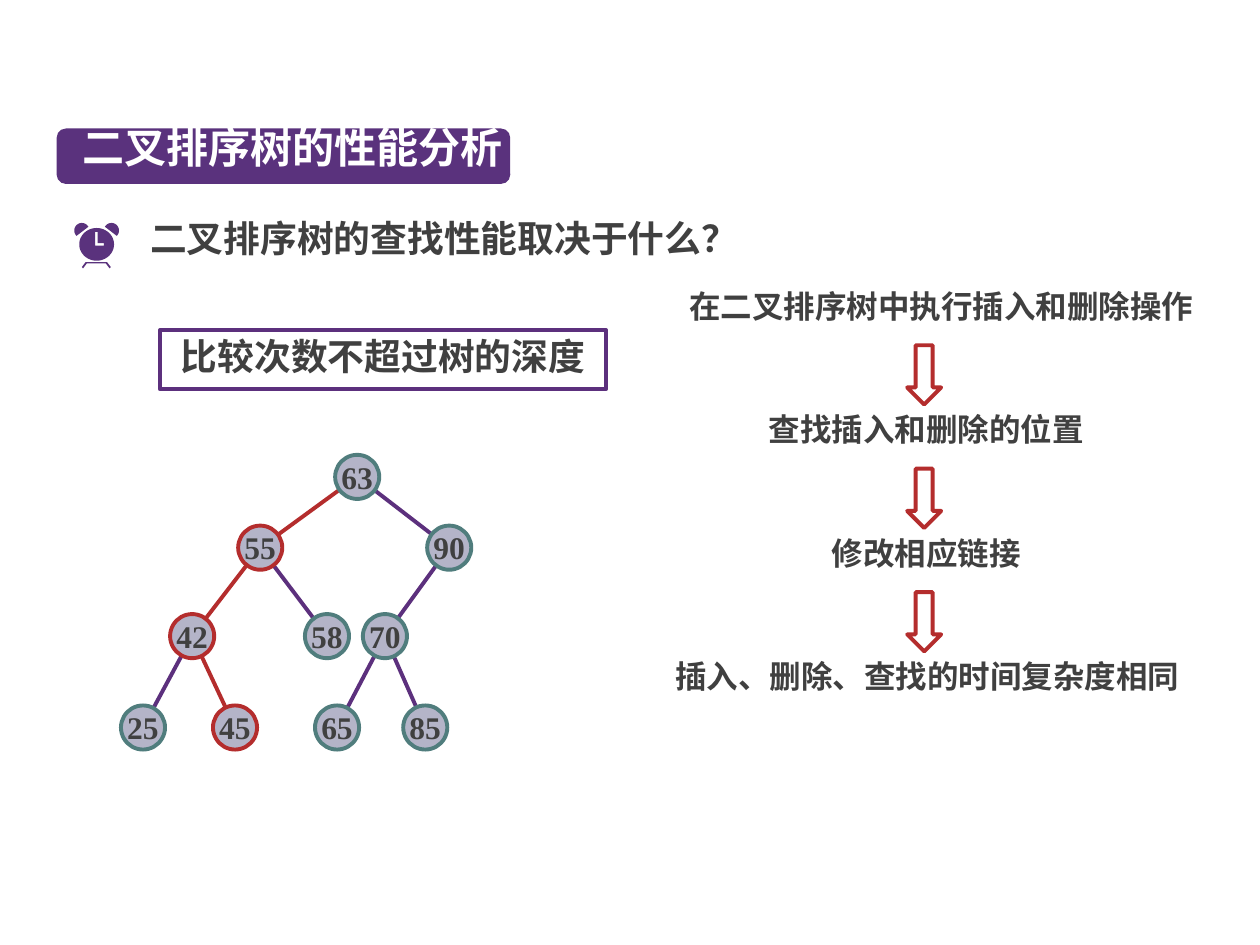
import math

import lxml.etree
import pptx
import pptx.dml.color
import pptx.enum.shapes
import pptx.enum.text
import pptx.oxml.ns
import pptx.util

COLUMNS, ROWS = 100, 75
PURPLE, EDGE, RED, TEAL = "5A327D", "5C307D", "B42D2D", "507D7D"
GREY, LILAC, WHITE = "404040", "B4B4C8", "FFFFFF"
SERIF, HAN = "Times New Roman", "Noto Sans CJK SC"
SHAPE = pptx.enum.shapes.MSO_SHAPE
TOP = pptx.enum.text.MSO_ANCHOR.TOP
MIDDLE = pptx.enum.text.MSO_ANCHOR.MIDDLE

deck = pptx.Presentation()
deck.slide_width = pptx.util.Inches(10)
deck.slide_height = pptx.util.Inches(7.5)


def place(*cells):
    """Turn alternating columns and rows into lengths on the slide."""
    units = (deck.slide_width / COLUMNS, deck.slide_height / ROWS)
    return [pptx.util.Emu(round(cell * units[i % 2])) for i, cell in enumerate(cells)]


def colour(code):
    """Return the colour for a hex string."""
    return pptx.dml.color.RGBColor.from_string(code)


def paint(shape, fill=None, line=None):
    """Give a shape a flat fill and outline, without shadow."""
    shape.shadow.inherit = False
    if fill:
        shape.fill.solid()
        shape.fill.fore_color.rgb = colour(fill)
    else:
        shape.fill.background()
    if line:
        shape.line.color.rgb = colour(line)
        shape.line.width = pptx.util.Pt(2.25)
    else:
        shape.line.fill.background()


def write(shape, text, size, code=GREY, face=SERIF, spacing=0.8, anchor=TOP):
    """Write one bold centred paragraph into a shape."""
    frame = shape.text_frame
    frame.word_wrap = True
    frame.auto_size = pptx.enum.text.MSO_AUTO_SIZE.NONE
    frame.vertical_anchor = anchor
    para = frame.paragraphs[0]
    para.text = text
    para.alignment = pptx.enum.text.PP_ALIGN.CENTER
    para.line_spacing = spacing
    para.space_before = pptx.util.Pt(0)
    para.font.size = pptx.util.Pt(size)
    para.font.bold = True
    para.font.color.rgb = colour(code)
    para.font.name = face
    tag = pptx.oxml.ns.qn
    default = para._p.pPr.find(tag("a:defRPr"))
    lxml.etree.SubElement(default, tag("a:ea")).set("typeface", HAN)
    return frame


def label(page, box, text, size):
    """Add a text box holding one line."""
    write(page.shapes.add_textbox(*place(*box)), text, size)


def heading(page, box, text):
    """Set the title over a rounded banner."""
    left, top, width, height = box
    banner = page.shapes.add_shape(SHAPE.ROUNDED_RECTANGLE, *place(*box))
    paint(banner, PURPLE)
    title = page.shapes.title
    title.left, title.top, title.width, title.height = place(
        left + 0.7, top - 0.3, width + 0.1, height - 0.2)
    write(title, text, 24, WHITE, HAN)
    title._element.addprevious(banner._element)


def outline(page, origin, *contours):
    """Draw closed contours, given relative to an origin, as one filled shape."""
    left, top = origin
    first, *others = [[place(left + x, top + y) for x, y in points] for points in contours]
    builder = page.shapes.build_freeform(*first[0], scale=1.0)
    builder.add_line_segments(first[1:], close=True)
    for points in others:
        builder.move_to(*points[0])
        builder.add_line_segments(points[1:], close=True)
    paint(builder.convert_to_shape(), PURPLE)


def arc(x, y, across, down, start, end):
    """Return points along an elliptical arc, angles in degrees."""
    angles = [math.radians(start + (end - start) * i / 48) for i in range(49)]
    return [(x + across * math.cos(a), y + down * math.sin(a)) for a in angles]


def clock(page, origin):
    """Draw an alarm clock with bells, feet and cut-out hands."""
    feet = [(0.7, 3.6), (0.6, 3.5), (0.9, 3.1), (2.6, 3.1), (2.9, 3.5),
            (2.8, 3.6), (2.5, 3.2), (1, 3.2)]
    hands = [(1.65, 0.7), (1.85, 0.7), (1.85, 1.6), (2.35, 1.6), (2.35, 1.8), (1.65, 1.8)]
    outline(page, origin, feet)
    outline(page, origin, arc(0.6, 0.6, 0.6, 0.6, 135, 330))
    outline(page, origin, arc(2.95, 0.6, 0.6, 0.6, -150, 45))
    outline(page, origin, arc(1.77, 1.7, 1.38, 1.3, 0, 360), hands)


def question(page, box, text):
    """Place the clock and the question beside it."""
    left, top, width, height = box
    clock(page, (left, top + 0.4))
    label(page, (left + 4.3, top, width - 4.3, height), text, 21)


def answer(page, box, text):
    """Place the framed answer."""
    frame = page.shapes.add_shape(SHAPE.RECTANGLE, *place(*box))
    paint(frame, line=EDGE)
    write(frame, text, 21, anchor=MIDDLE)


def flow(page, box, steps):
    """Stack the steps evenly with a block arrow between neighbours."""
    left, top, width, height = box
    pitch = height / len(steps)
    for i, (shift, span, text) in enumerate(steps):
        y = top + i * pitch
        label(page, (left + shift, y, span, 3.4), text, 18)
        if i:
            arrow = page.shapes.add_shape(
                SHAPE.DOWN_ARROW, *place(left + 20, y - 5.25, 2.7, 4.7))
            paint(arrow, line=RED)


def edge(page, start, end, radius, code):
    """Join two nodes from rim to rim."""
    (x1, y1), (x2, y2) = start, end
    share = radius / math.dist(start, end)
    dx, dy = (x2 - x1) * share, (y2 - y1) * share
    line = page.shapes.add_connector(
        pptx.enum.shapes.MSO_CONNECTOR.STRAIGHT, *place(x1 + dx, y1 + dy, x2 - dx, y2 - dy))
    line.line.color.rgb = colour(code)
    line.line.width = pptx.util.Pt(2.25)
    lxml.etree.SubElement(line._element.spPr, pptx.oxml.ns.qn("a:effectLst"))


def node(page, centre, radius, key, code):
    """Draw one tree node with its key."""
    x, y = centre
    circle = page.shapes.add_shape(
        SHAPE.OVAL, *place(x - radius, y - radius, 2 * radius, 2 * radius))
    paint(circle, LILAC, code)
    frame = write(circle, key, 18, spacing=pptx.util.Pt(19.5))
    frame.word_wrap = False
    frame.margin_left = frame.margin_right = frame.margin_top = frame.margin_bottom = 0


def tree(page, box, nodes, searched):
    """Draw a tree of key: (parent, column, level), marking the searched keys."""
    left, top, width, height = box
    radius = 1.75
    levels = (0, 0.24, 0.54, 0.85)
    centres = {key: (left + radius + column, top + radius + levels[level] * height)
               for key, (parent, column, level) in nodes.items()}
    for key, (parent, column, level) in nodes.items():
        if parent:
            edge(page, centres[parent], centres[key], radius, RED if key in searched else EDGE)
    for key, centre in centres.items():
        node(page, centre, radius, key, RED if key in searched else TEAL)


def main():
    """Build the slide and save it."""
    page = deck.slides.add_slide(deck.slide_layouts[5])
    heading(page, (4.5, 10.2, 36, 4.4), "二叉排序树的性能分析")
    question(page, (5.9, 17.3, 54.4, 3.8), "二叉排序树的查找性能取决于什么？")
    answer(page, (12.7, 26.2, 35.4, 4.7), "比较次数不超过树的深度")
    flow(page, (52, 22.85, 44.2, 39.2), [
        (1.2, 43, "在二叉排序树中执行插入和删除操作"),
        (7.7, 27.6, "查找插入和删除的位置"),
        (7.7, 27.6, "修改相应链接"),
        (0, 43.2, "插入、删除、查找的时间复杂度相同"),
    ])
    tree(page, (9.6, 36.1, 27.8, 23.4), {
        "63": (None, 17, 0),
        "55": ("63", 9.3, 1),
        "90": ("63", 24.3, 1),
        "42": ("55", 3.9, 2),
        "58": ("55", 14.6, 2),
        "70": ("90", 19.2, 2),
        "25": ("42", 0, 3),
        "45": ("42", 7.3, 3),
        "65": ("70", 15.4, 3),
        "85": ("70", 22.4, 3),
    }, ("55", "42", "45"))
    deck.save("out.pptx")


if __name__ == "__main__":
    main()
